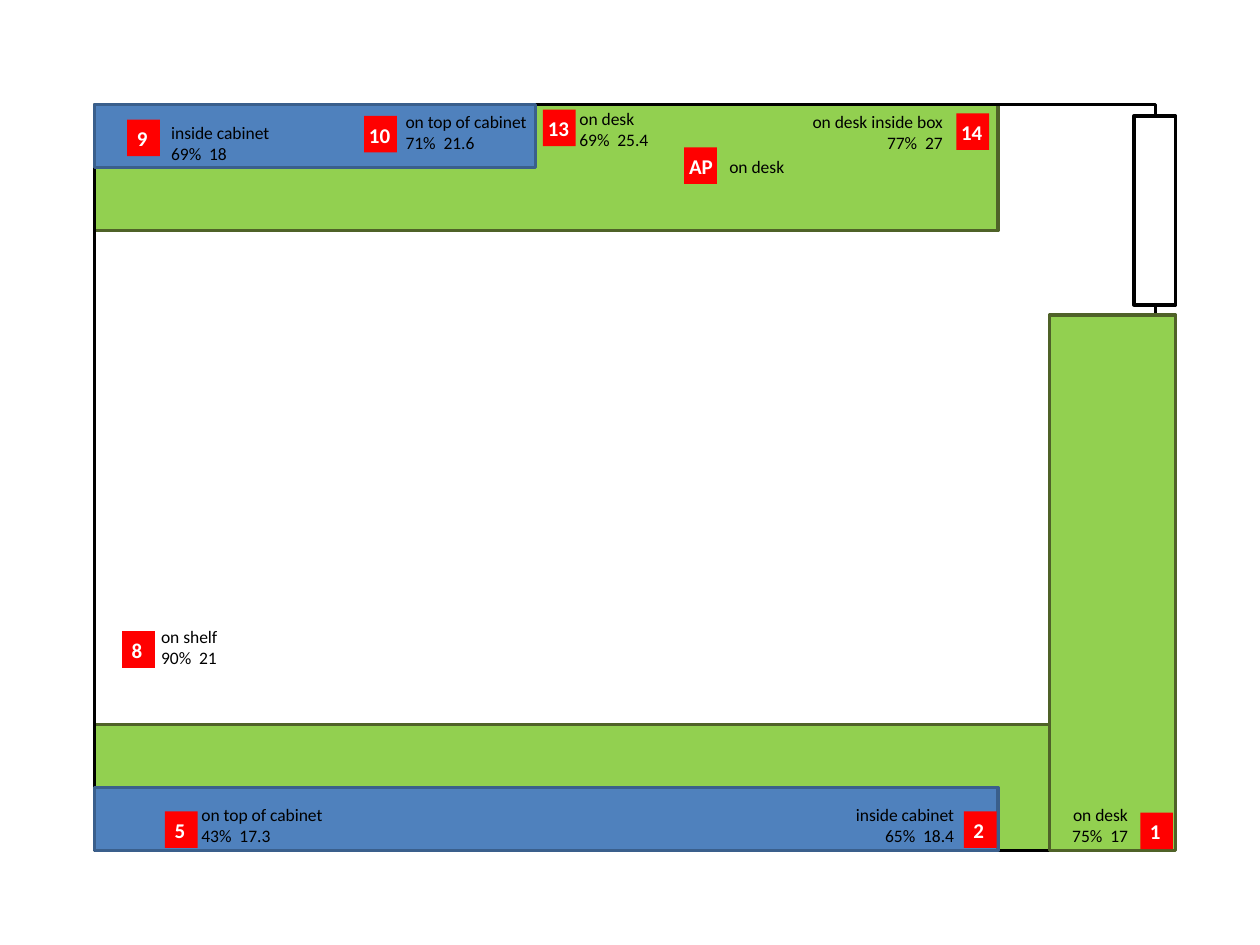
import pptx
import pptx.util
import pptx.dml.color
import pptx.enum.shapes
import pptx.enum.text

Inches = pptx.util.Inches
Pt = pptx.util.Pt
ALIGN = pptx.enum.text.PP_ALIGN

GREEN, DARK_GREEN = "92D050", "4F6228"
BLUE, DARK_BLUE = "4F81BD", "3A5F8C"
RED, BLACK, WHITE = "FF0000", "000000", "FFFFFF"


def rgb(value):
    return pptx.dml.color.RGBColor.from_string(value)


def add_box(shapes, x, y, w, h, fill=None, line=None):
    sp = shapes.add_shape(pptx.enum.shapes.MSO_SHAPE.RECTANGLE,
                          Inches(x), Inches(y), Inches(w), Inches(h))
    sp.shadow.inherit = False
    if fill:
        sp.fill.solid()
        sp.fill.fore_color.rgb = rgb(fill)
    else:
        sp.fill.background()
    if line:
        sp.line.color.rgb = rgb(line)
        sp.line.width = Pt(2)
    else:
        sp.line.fill.background()


def add_text(shapes, x, y, w, h, lines, size, color, bold=False, align=ALIGN.LEFT):
    tf = shapes.add_textbox(Inches(x), Inches(y), Inches(w), Inches(h)).text_frame
    tf.word_wrap = False
    tf.auto_size = pptx.enum.text.MSO_AUTO_SIZE.SHAPE_TO_FIT_TEXT
    tf.text = "\n".join(lines)
    for p in tf.paragraphs:
        p.alignment = align
        p.font.name = "Calibri"
        p.font.size = Pt(size)
        p.font.bold = bold
        p.font.color.rgb = rgb(color)


def add_furniture(s, left, top, width, height):
    pieces = [
        (0, 0, 7.17, 1, GREEN, DARK_GREEN),
        (0, height - 1, 7.58, 1, GREEN, DARK_GREEN),
        (0, 0, width, height, None, BLACK),
        (8.25, 0.09, 0.33, 1.5, WHITE, BLACK),
        (0, 0, 3.5, 0.5, BLUE, DARK_BLUE),
        (0, height - 0.5, 7.17, 0.5, BLUE, DARK_BLUE),
        (7.58, height - 4.25, 1, 4.25, GREEN, DARK_GREEN),
    ]
    for x, y, w, h, fill, line in pieces:
        add_box(s.shapes, left + x, top + y, w, h, fill, line)


def add_marker(s, x, y, name, text_width):
    group = s.shapes.add_group_shape()
    add_box(group.shapes, x, y, 0.26, 0.29, RED)
    add_text(group.shapes, x - 0.06, y, text_width, 0.3, [name], 12, WHITE, bold=True)


def add_markers(s, left, top):
    markers = [
        (6.84, 0.07, "14", 0.37), (3.56, 0.04, "13", 0.37),
        (2.14, 0.09, "10", 0.37), (0.26, 0.12, " 9", 0.33),
        (0.22, 4.18, " 8", 0.33), (0.56, 5.61, " 5", 0.33),
        (6.9, 5.61, " 2", 0.33), (8.3, 5.62, " 1", 0.33),
        (4.68, 0.34, "AP", 0.39),
    ]
    for x, y, name, text_width in markers:
        add_marker(s, left + x, top + y, name, text_width)


def add_labels(s, left, top):
    labels = [
        (0.51, 0.09, 0.99, ALIGN.LEFT, ["inside cabinet", "69%  18"]),
        (2.37, 0, 1.18, ALIGN.LEFT, ["on top of cabinet", "71%  21.6"]),
        (0.43, 4.09, 0.65, ALIGN.LEFT, ["on shelf", "90%  21"]),
        (5.93, 5.5, 0.99, ALIGN.RIGHT, ["inside cabinet", "65%  18.4"]),
        (0.75, 5.5, 1.18, ALIGN.LEFT, ["on top of cabinet", "43%  17.3"]),
        (3.75, -0.02, 0.76, ALIGN.LEFT, ["on desk", "69%  25.4"]),
        (4.94, 0.36, 0.64, ALIGN.LEFT, ["on desk"]),
        (5.58, 0, 1.25, ALIGN.RIGHT, ["on desk inside box", "77%  27"]),
        (7.65, 5.5, 0.65, ALIGN.RIGHT, ["on desk", "75%  17"]),
    ]
    for x, y, w, align, lines in labels:
        h = 0.1 + 0.17 * len(lines)
        add_text(s.shapes, left + x, top + y, w, h, lines, 10, BLACK, align=align)


def add_floor_plan(s, left, top, width, height):
    add_furniture(s, left, top, width, height)
    add_markers(s, left, top)
    add_labels(s, left, top)


prs = pptx.Presentation()
prs.slide_width, prs.slide_height = Inches(10), Inches(7.5)
s = prs.slides.add_slide(prs.slide_layouts[6])
add_floor_plan(s, 0.75, 0.83, 8.42, 5.92)
prs.save("out.pptx")
